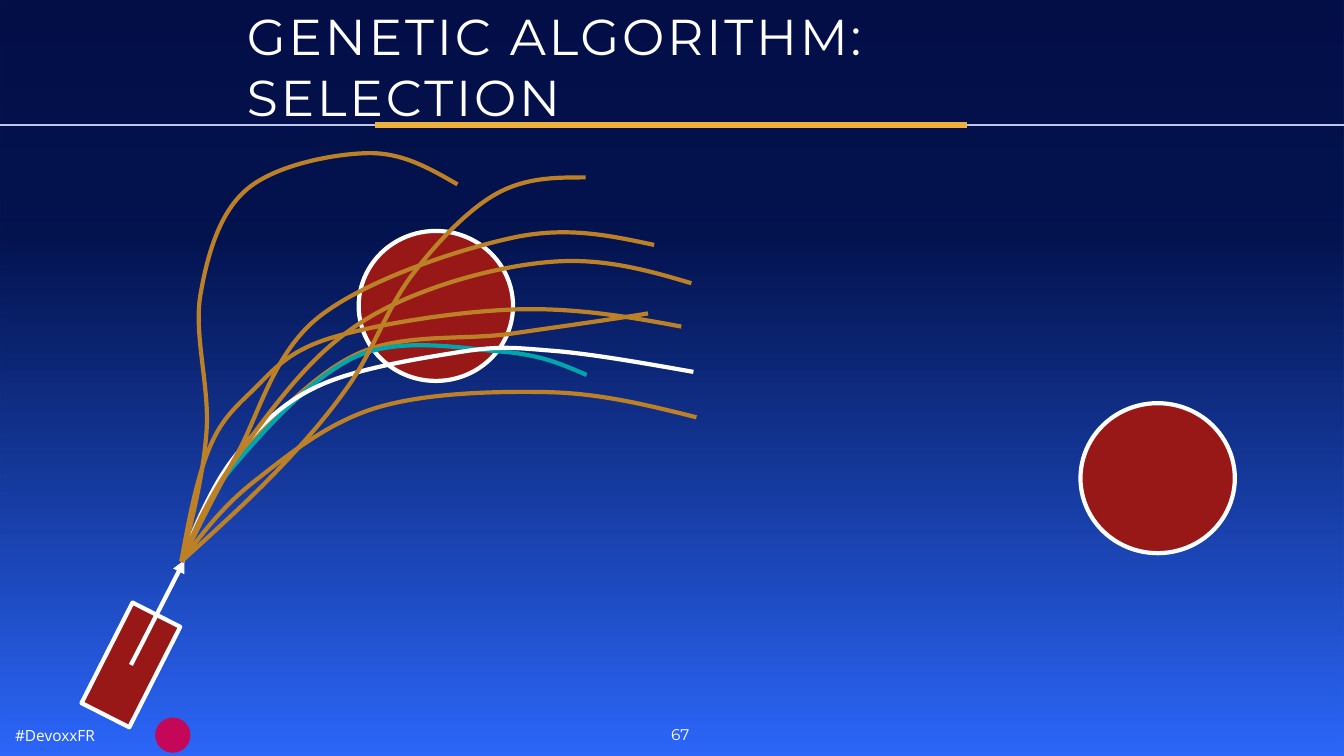
from lxml import etree
from pptx import Presentation
from pptx import util as u
from pptx.dml.color import RGBColor
from pptx.enum import shapes, text
from pptx.oxml.ns import qn

Cm = u.Cm
HUES = {
    "sky": "057FFA", "deep": "033494", "glow": "3363FB", "night": "030231",
    "gold": "ECB13C", "pale": "BFC6EA", "white": "FFFFFF", "pink": "C5075A",
    "red": "971817", "brown": "BC8027", "teal": "00A6AC",
}
WIDE, HIGH = 33.87, 19.05
GRID = Cm(0.0254)  # one unit of the flight knots

# Every flight leaves the nose of the rocket and passes through its knots.
NOSE = (180, 557)
FLIGHTS = [
    ("brown", [(233, 458), (355, 351), (508, 331), (643, 311)]),
    ("teal", [(233, 461), (355, 353), (499, 349), (582, 372)]),
    ("white", [(233, 453), (318, 382), (458, 349), (548, 348), (688, 369)]),
    ("brown", [(206, 449), (248, 390), (326, 336), (511, 307), (676, 324)]),
    ("brown", [(230, 461), (322, 348), (424, 288), (562, 259), (686, 281)]),
    ("brown", [(272, 470), (347, 381), (408, 274), (493, 192), (581, 176)]),
    ("brown", [(234, 453), (317, 314), (508, 236), (649, 243)]),
    ("brown", [(205, 427), (199, 292), (246, 187), (364, 152), (454, 183)]),
    ("brown", [(253, 477), (372, 405), (542, 389), (691, 414)]),
]


def hue(name):
    return RGBColor.from_string(HUES[name])


def blend(fill, stops):
    """Fill upwards with two stops of (place, colour, opacity in percent)."""
    fill.gradient()
    fill.gradient_angle = 90
    for stop, (place, name, solid) in zip(fill.gradient_stops, stops):
        stop.position = place
        stop.color.rgb = hue(name)
        if solid < 100:
            tone = stop._gs.find(qn("a:srgbClr"))
            etree.SubElement(tone, qn("a:alpha")).set("val", str(solid * 1000))


def solid(slide, kind, box, name, edge=None):
    form = slide.shapes.add_shape(kind, *map(Cm, box))
    form.shadow.inherit = False
    form.fill.solid()
    form.fill.fore_color.rgb = hue(name)
    if edge:
        form.line.color.rgb = hue(edge)
        form.line.width = u.Pt(3)
    else:
        form.line.fill.background()
    return form


def line(slide, start, end, name, width):
    rule = slide.shapes.add_connector(
        shapes.MSO_CONNECTOR.STRAIGHT, *map(Cm, start + end))
    rule.line.color.rgb = hue(name)
    rule.line.width = u.Pt(width)
    etree.SubElement(rule._element.spPr, qn("a:effectLst"))
    return rule


def label(slide, box, words, size, font, inset, wrap=True, middle=True):
    frame = slide.shapes.add_textbox(*map(Cm, box)).text_frame
    frame.word_wrap = wrap
    if middle:
        frame.vertical_anchor = text.MSO_ANCHOR.MIDDLE
    frame.margin_left = frame.margin_right = Cm(inset)
    frame.margin_top = frame.margin_bottom = Cm(inset)
    para = frame.paragraphs[0]
    para.text = words
    for run in para.runs:
        run.font.size = u.Pt(size)
        run.font.name = font
        run.font.color.rgb = hue("white")
    return para


def backdrop(slide, box):
    blend(slide.background.fill, [(0, "sky", 100), (1, "deep", 100)])
    veil = solid(slide, shapes.MSO_SHAPE.RECTANGLE, box, "night")
    blend(veil.fill, [(0, "glow", 85), (0.69, "night", 77)])


def header(slide, box):
    left, top, width, height = box
    base = top + height
    line(slide, (left, base), (left + width, base), "pale", 0.75)
    line(slide, (left + 9.45, base), (left + 24.36, base), "gold", 3.75)
    title = label(slide, (left + 6.02, top + 0.13, 25.12, 3.07),
                  "GENETIC ALGORITHM:\vSELECTION", 36, "Montserrat", 0.2)
    for run in title.runs:
        run.font._element.set("spc", "200")


def footer(slide, box):
    left, top = box[:2]
    page = label(slide, (left + 16.61, top, 1.07, 0.86), "67", 11,
                 "Montserrat", 0.2, wrap=False, middle=False)
    page.alignment = text.PP_ALIGN.CENTER
    label(slide, (left + 0.28, top + 0.11, 2.31, 0.66), "#DevoxxFR", 11,
          "Open Sans", 0.1)
    solid(slide, shapes.MSO_SHAPE.OVAL, (left + 3.91, top, 0.89, 0.89), "pink")


def rocket(slide, box):
    left, top, width, height = box
    hull = solid(slide, shapes.MSO_SHAPE.RECTANGLE, box, "red", "white")
    hull.rotation = 296.9
    mid = (left + width / 2, top + height / 2)
    thrust = line(slide, mid, (mid[0] + 1.35, mid[1] - 2.64), "white", 3)
    tip = etree.SubElement(thrust.line._get_or_add_ln(), qn("a:tailEnd"))
    tip.set("type", "triangle")


def halfway(a, b):
    return tuple((p + q) / 2 for p, q in zip(a, b))


def smooth(knots):
    """Return two handles and an end for each curve between the knots."""
    before, after = [None], []
    for prev, knot, succ in zip(knots, knots[1:], knots[2:]):
        lean = [(s - p) / 6 for p, s in zip(prev, succ)]
        before.append(tuple(k + d for k, d in zip(knot, lean)))
        after.append(tuple(k - d for k, d in zip(knot, lean)))
    before[0] = halfway(knots[0], after[0])
    after.append(halfway(before[-1], knots[-1]))
    return [spot for curve in zip(before, after, knots[1:]) for spot in curve]


def flight(slide, origin, name, knots):
    pen = slide.shapes.build_freeform(*knots[0], scale=GRID)
    pen.add_line_segments(smooth(knots), close=False)
    track = pen.convert_to_shape(*map(Cm, origin))
    track.shadow.inherit = False
    track.fill.background()
    track.line.color.rgb = hue(name)
    track.line.width = u.Pt(3)
    route = next(track._element.iter(qn("a:path")))
    steps = route.findall(qn("a:lnTo"))
    for i in range(0, len(steps), 3):
        curve = etree.SubElement(route, qn("a:cubicBezTo"))
        for step in steps[i:i + 3]:
            curve.append(step[0])
            route.remove(step)


def scene(slide, box):
    left, top = box[:2]
    rocket(slide, (left + 1.88, top + 16.08, 2.84, 1.35))
    for x, y in ((9.04, 5.82), (27.23, 10.16)):
        solid(slide, shapes.MSO_SHAPE.OVAL, (left + x, top + y, 3.89, 3.78),
              "red", "white")
    for name, knots in FLIGHTS:
        flight(slide, (left, top), name, [NOSE] + knots)


def main():
    deck = Presentation()
    deck.slide_width, deck.slide_height = Cm(WIDE), Cm(HIGH)
    slide = deck.slides.add_slide(deck.slide_layouts[6])
    page = (0, 0, WIDE, HIGH)
    backdrop(slide, page)
    header(slide, (0, 0, WIDE, 3.15))
    footer(slide, (0, 18.08, WIDE, 0.97))
    scene(slide, page)
    deck.save("out.pptx")


if __name__ == "__main__":
    main()
